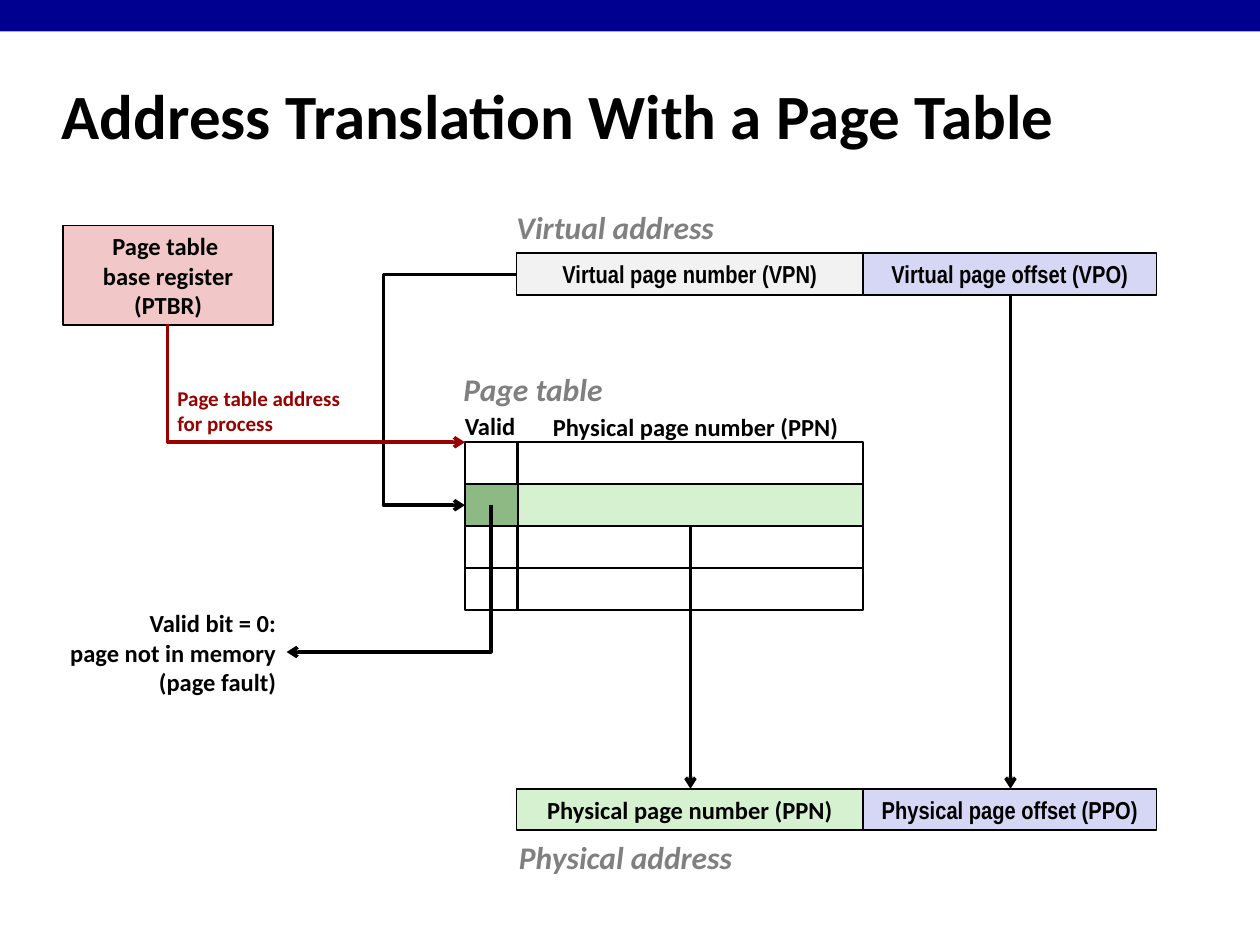
from lxml.etree import SubElement
from pptx import Presentation
from pptx.dml.color import RGBColor
from pptx.enum.shapes import MSO_CONNECTOR, MSO_SHAPE
from pptx.enum.text import MSO_ANCHOR, PP_ALIGN
from pptx.oxml.ns import qn
from pptx.util import Inches, Pt

COLORS = {
    "bar": "000090", "black": "000000", "gray": "808080", "red": "990000",
    "virtual": "F2F2F2", "offset": "D6D6F5", "physical": "D5F1CF",
    "valid": "8DBA84", "register": "F1C7C7",
}
VALID_LEFT, NUMBER_LEFT, OFFSET_LEFT = 3.69, 4.1, 6.85
VALID_WIDTH, NUMBER_WIDTH, OFFSET_WIDTH = 0.42, 2.75, 2.33
ROW_HEIGHT = 0.33
TABLE_TOP, ROW_STEP = 3.51, 1 / 3


def color(name):
    return RGBColor.from_string(COLORS[name])


def write(shape, text, size, name="black", font="Calibri", align=PP_ALIGN.LEFT, italic=False):
    shape.text_frame.text = text
    for para in shape.text_frame.paragraphs:
        para.alignment = align
        for span in para.runs:
            span.font.name = font
            span.font.size = Pt(size)
            span.font.bold = True
            span.font.italic = italic
            span.font.color.rgb = color(name)


deck = Presentation()
deck.slide_width, deck.slide_height = Inches(10), Inches(7.5)
page = deck.slides.add_slide(deck.slide_layouts[5])

title = page.shapes.title
title.left, title.top = Inches(0.39), Inches(0.49)
title.width, title.height = Inches(8.3), Inches(0.83)
title.text_frame.vertical_anchor = MSO_ANCHOR.MIDDLE
write(title, "Address Translation With a Page Table", 36)

boxes = [
    (0, 0, 10, 0.25, "bar", "", "Calibri"),
    (NUMBER_LEFT, 2.01, NUMBER_WIDTH, ROW_HEIGHT, "virtual", "Virtual page number (VPN)", "Arial Narrow"),
    (OFFSET_LEFT, 2.01, OFFSET_WIDTH, ROW_HEIGHT, "offset", "Virtual page offset (VPO)", "Arial Narrow"),
    (NUMBER_LEFT, 6.26, NUMBER_WIDTH, ROW_HEIGHT, "physical", "Physical page number (PPN)", "Calibri"),
    (OFFSET_LEFT, 6.26, OFFSET_WIDTH, ROW_HEIGHT, "offset", "Physical page offset (PPO)", "Arial Narrow"),
    (0.5, 1.79, 1.67, 0.79, "register", "Page table \vbase register\n(PTBR)", "Calibri"),
]
for row in range(4):
    top = TABLE_TOP + row * ROW_STEP
    selected = row == 1
    boxes.append((NUMBER_LEFT, top, NUMBER_WIDTH, ROW_HEIGHT, "physical" if selected else None, "", "Calibri"))
    boxes.append((VALID_LEFT, top, VALID_WIDTH, ROW_HEIGHT, "valid" if selected else None, "", "Calibri"))

for left, top, width, height, fill, text, font in boxes:
    box = page.shapes.add_shape(
        MSO_SHAPE.RECTANGLE, Inches(left), Inches(top), Inches(width), Inches(height))
    box.shadow.inherit = False
    if fill:
        box.fill.solid()
        box.fill.fore_color.rgb = color(fill)
    else:
        box.fill.background()
    if fill == "bar":
        box.line.fill.background()
    else:
        box.line.color.rgb = color("black")
        box.line.width = Pt(1)
    if text:
        box.text_frame.word_wrap = False
        box.text_frame.vertical_anchor = MSO_ANCHOR.MIDDLE
        write(box, text, 14, font=font, align=PP_ALIGN.CENTER)

labels = [
    (4, 1.6, 1.78, 0.4, "Virtual address", 18, "gray", PP_ALIGN.LEFT),
    (4.02, 6.6, 1.91, 0.4, "Physical address", 18, "gray", PP_ALIGN.LEFT),
    (3.58, 2.89, 1.42, 0.4, "Page table", 18, "gray", PP_ALIGN.LEFT),
    (3.59, 3.21, 0.61, 0.34, "Valid", 14, "black", PP_ALIGN.LEFT),
    (4.29, 3.22, 2.48, 0.34, "Physical page number (PPN)", 14, "black", PP_ALIGN.LEFT),
    (1.31, 3.01, 1.54, 0.5, "Page table address\nfor process", 12, "red", PP_ALIGN.LEFT),
    (0.45, 4.78, 1.84, 0.81, "Valid bit = 0:\npage not in memory\n(page fault)", 14, "black", PP_ALIGN.RIGHT),
]
for left, top, width, height, text, size, name, align in labels:
    label = page.shapes.add_textbox(Inches(left), Inches(top), Inches(width), Inches(height))
    label.text_frame.word_wrap = False
    write(label, text, size, name, align=align, italic=name == "gray")

STRAIGHT, ELBOW = MSO_CONNECTOR.STRAIGHT, MSO_CONNECTOR.ELBOW
arrows = [
    (ELBOW, 4.1, 2.18, 3.69, 4.01, "black", {}, None),
    (STRAIGHT, 8.02, 2.34, 8.02, 6.26, "black", {}, None),
    (STRAIGHT, 5.48, 4.18, 5.48, 6.26, "black", {}, None),
    (ELBOW, 2.5, 3.78, 3.67, 5.4, "black", {"rot": "5400000"}, "bentConnector2"),
    (ELBOW, 2.04, 1.86, 2.98, 4.22, "red", {"rot": "16200000", "flipH": "1"}, "bentConnector2"),
]
for kind, x1, y1, x2, y2, name, turn, preset in arrows:
    arrow = page.shapes.add_connector(kind, Inches(x1), Inches(y1), Inches(x2), Inches(y2))
    arrow.line.color.rgb = color(name)
    arrow.line.width = Pt(2)
    properties = arrow._element.spPr
    SubElement(arrow.line._get_or_add_ln(), qn("a:tailEnd"), type="arrow")
    SubElement(properties, qn("a:effectLst"))
    for key, value in turn.items():
        properties.find(qn("a:xfrm")).set(key, value)
    geometry = properties.find(qn("a:prstGeom"))
    if preset:
        geometry.set("prst", preset)
    elif kind == ELBOW:
        SubElement(geometry.find(qn("a:avLst")), qn("a:gd"), name="adj1", fmla="val 258000")

deck.save("out.pptx")
